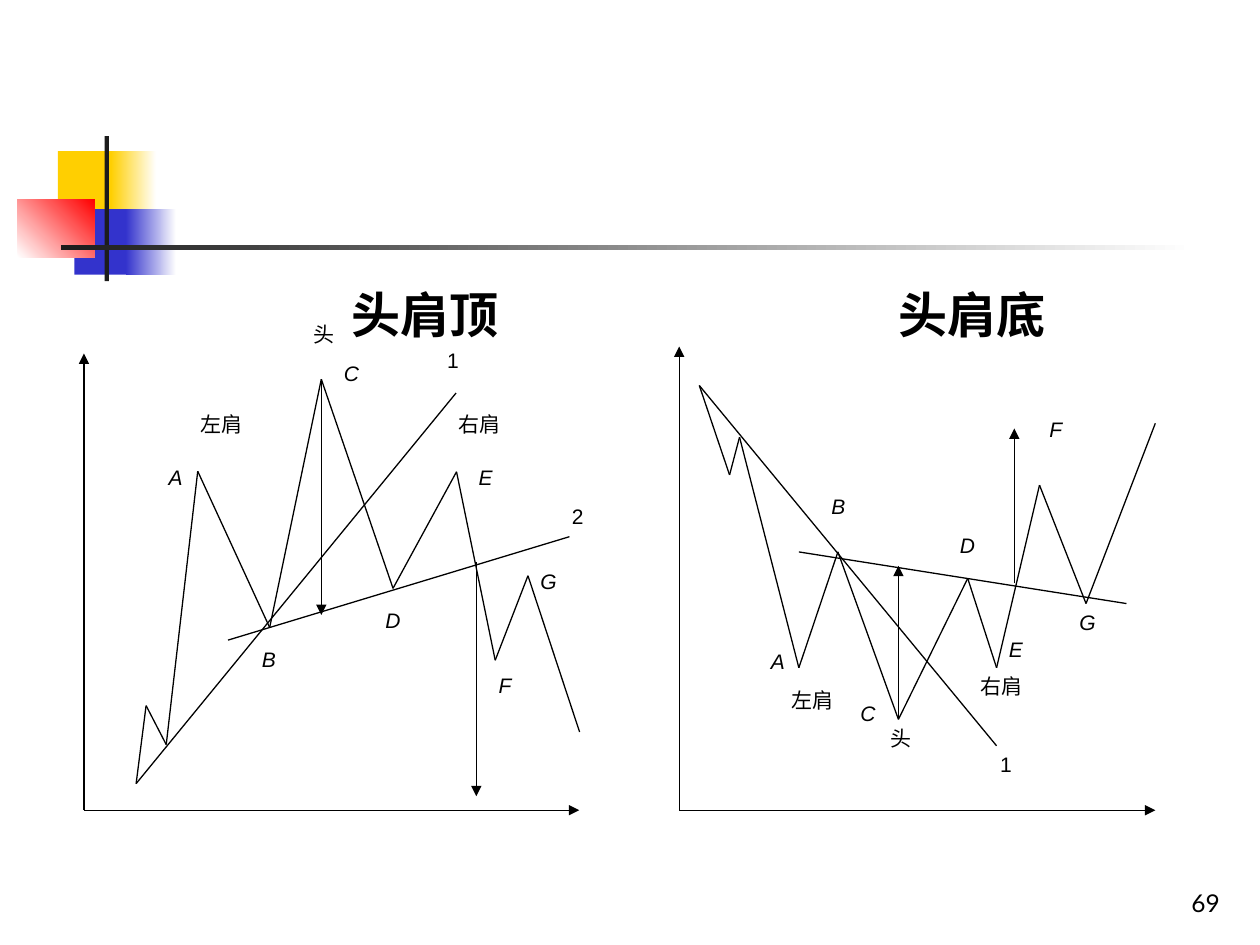
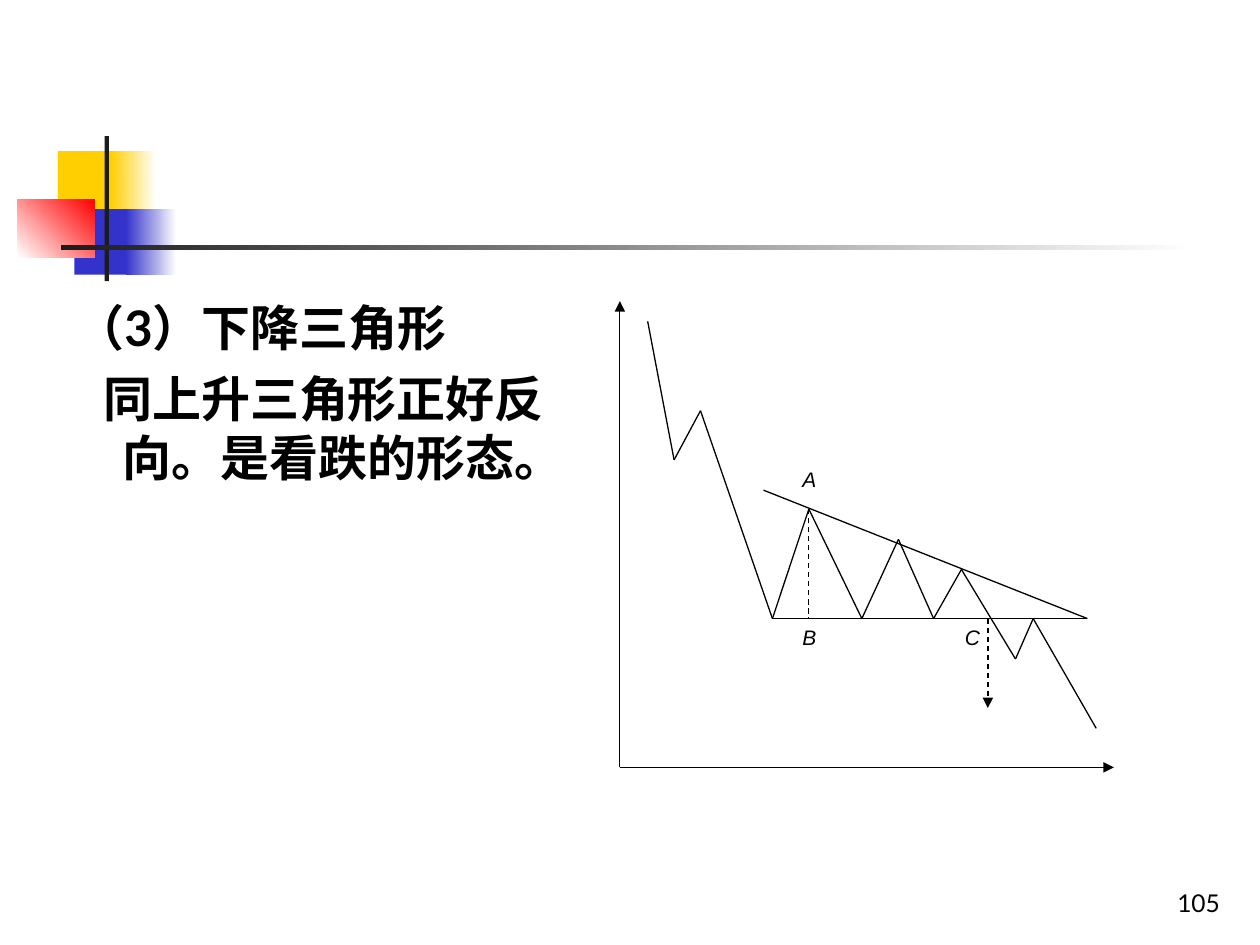
from itertools import pairwise
from lxml import etree
from pptx import Presentation
from pptx.dml.color import RGBColor
from pptx.enum import dml, shapes, text
from pptx.oxml.ns import qn
from pptx.util import Pt

C = {"ink": "000000", "white": "FFFFFF", "yellow": "FFCF01",
     "blue": "3333CC", "red": "FF0000", "dark": "1C1C1C"}


def add_line(s, start, end, arrow=False, dash=False):
    c = s.shapes.add_connector(shapes.MSO_CONNECTOR.STRAIGHT,
                               *[Pt(v) for v in (*start, *end)])
    c.line.color.rgb = RGBColor.from_string(C["ink"])
    c.line.width = Pt(0.75)
    if dash:
        c.line.dash_style = dml.MSO_LINE.DASH
    if arrow:
        etree.SubElement(c.line._get_or_add_ln(), qn("a:tailEnd"), type="triangle")
    etree.SubElement(c._element.spPr, qn("a:effectLst"))


def add_text(s, box, lines, size, font, bold=False, italic=False,
             align=text.PP_ALIGN.LEFT, anchor=text.MSO_ANCHOR.TOP):
    tf = s.shapes.add_textbox(*[Pt(v) for v in box]).text_frame
    tf.word_wrap = True
    tf.vertical_anchor = anchor
    tf.text = "\n".join(lines)
    for p in tf.paragraphs:
        p.alignment = align
        for r in p.runs:
            r.font.size = Pt(size)
            r.font.name = font
            r.font.bold = bold
            r.font.italic = italic
            r.font.color.rgb = RGBColor.from_string(C["ink"])
    return tf


blocks = [
    ((33.1, 86.4, 34.6, 37.4), ["yellow"], 0),
    ((63.4, 86.4, 25.9, 37.4), ["yellow", "white"], 0),
    ((42.5, 119.5, 33.1, 37.4), ["blue"], 0),
    ((72, 119.5, 28.8, 37.4), ["blue", "white"], 0),
    ((10.1, 113.8, 43.9, 33.1), ["white", "red"], 45),
    ((59.8, 77.8, 2.5, 82.8), ["dark"], 0),
    ((34.6, 140.2, 648, 2.5), ["dark", "white"], 0),
]

head_top = {
    "origin": (48, 463), "axis_ends": (331, 202),
    "price": [(77.8, 447.8), (83.5, 403.2), (95, 425.5), (113, 269.3),
              (154.1, 358.6), (183.6, 216.7), (224.6, 336.2), (260.9, 269.6),
              (283, 377.3), (301.7, 329), (331.2, 418.3)],
    "lines": [((77.8, 447.8), (260.6, 224.6)), ((130.3, 365.8), (325.4, 306.7))],
    "arrows": [((183.6, 216.7), (183.6, 351.4)), ((272.2, 321.1), (272.2, 455))],
    "labels": [("A", 89.3, 262, 29.5), ("左肩", 107.3, 231.8, 46.8),
               ("头", 172.1, 180, 35.3), ("右肩", 254.9, 231.8, 41),
               ("C", 189.4, 202.3, 23.8), ("1", 248.4, 195.1, 29.5),
               ("E", 266.4, 262, 29.5), ("2", 319.7, 284.4, 23.8),
               ("G", 301.7, 321.1, 23.8), ("F", 277.9, 380.9, 23.8),
               ("B", 142.6, 365.8, 29.5), ("D", 213.1, 343.4, 29.5)],
}
head_bottom = {
    "origin": (388.1, 463), "axis_ends": (660.2, 198),
    "price": [(399.6, 220.3), (416.9, 271.4), (422.6, 249.8), (456.5, 381.6),
              (478.8, 315.4), (513.4, 411.1), (553, 330.5), (569.5, 381.6),
              (594, 277.2), (620.6, 344.9), (660.2, 241.9)],
    "lines": [((399.6, 220.3), (569.5, 426.2)), ((456.5, 315.4), (643.7, 344.9))],
    "arrows": [((513.4, 411.1), (513.4, 323.3)), ((579.6, 333.4), (579.6, 244.8))],
    "labels": [("左肩", 445, 389.5, 39.6), ("头", 501.8, 411.1, 28),
               ("右肩", 553, 381.6, 39.6), ("A", 433.4, 367.2, 28),
               ("B", 468, 278.6, 28), ("C", 484.6, 396.7, 23),
               ("D", 541.4, 301, 28), ("F", 592.6, 234.7, 28),
               ("E", 569.5, 360, 28), ("G", 609.8, 344.9, 28),
               ("1", 564.5, 426.2, 28)],
}
falling_triangle = {
    "origin": (354.2, 438.5), "axis_ends": (636.5, 172.1),
    "price": [(370.1, 183.6), (385.2, 262.8), (400.3, 234.7), (441.4, 353.5),
              (462.2, 290.9), (492.5, 353.5), (513.4, 308.2), (533.5, 353.5),
              (549.4, 325.4), (580.3, 376.6), (590.4, 353.5), (626.4, 416.2)],
    "lines": [((441.4, 353.5), (621.4, 353.5)), ((621.4, 353.5), (436.3, 280.1))],
    "dashes": [((564.5, 353.5), (564.5, 404.6), True),
               ((462.2, 290.9), (462.2, 353.5), False)],
    "labels": [("A", 451.4, 262.8, 36), ("B", 451.4, 353.5, 26),
               ("C", 544.3, 353.5, 25.2)],
}

prs = Presentation()
prs.slide_width, prs.slide_height = Pt(720), Pt(540)

pages = []
for number, charts in (("69", [head_top, head_bottom]), ("105", [falling_triangle])):
    s = prs.slides.add_slide(prs.slide_layouts[6])
    pages.append(s)
    for box, colors, angle in blocks:
        sp = s.shapes.add_shape(shapes.MSO_SHAPE.RECTANGLE, *[Pt(v) for v in box])
        sp.shadow.inherit = False
        sp.line.fill.background()
        if len(colors) == 1:
            sp.fill.solid()
            sp.fill.fore_color.rgb = RGBColor.from_string(C[colors[0]])
        else:
            sp.fill.gradient()
            sp.fill.gradient_angle = angle
            for stop, color in zip(sp.fill.gradient_stops, colors):
                stop.color.rgb = RGBColor.from_string(C[color])
    add_text(s, (554.4, 491.8, 149.8, 36), [number], 14, "Lato",
             align=text.PP_ALIGN.RIGHT, anchor=text.MSO_ANCHOR.BOTTOM)
    for chart in charts:
        x, y = chart["origin"]
        right, top = chart["axis_ends"]
        add_line(s, (x, y), (right, y), arrow=True)
        add_line(s, (x, y), (x, top), arrow=True)
        for start, end in [*pairwise(chart["price"]), *chart["lines"]]:
            add_line(s, start, end)
        for start, end in chart.get("arrows", []):
            add_line(s, start, end, arrow=True)
        for start, end, arrow in chart.get("dashes", []):
            add_line(s, start, end, arrow, dash=True)
        for label, left, top, width in chart["labels"]:
            add_text(s, (left, top, width, 21.6), [label], 12, "Arial",
                     italic=label in "ABCDEFG")

for left, title in ((92.9, "头肩顶"), (405.4, "头肩底")):
    add_text(pages[0], (left, 159.1, 300, 324), [title], 28, "Lato",
             bold=True, align=text.PP_ALIGN.CENTER)

tf = add_text(pages[1], (36, 166.5, 288, 316),
              ["（3）下降三角形", "同上升三角形正好反向。是看跌的形态。"],
              28, "Lato", bold=True)
for p, indent in zip(tf.paragraphs, (-27, -11)):
    pPr = p._p.get_or_add_pPr()
    pPr.set("marL", str(Pt(27)))
    pPr.set("indent", str(Pt(indent)))
tf.paragraphs[1].space_before = Pt(7)

prs.save("out.pptx")
